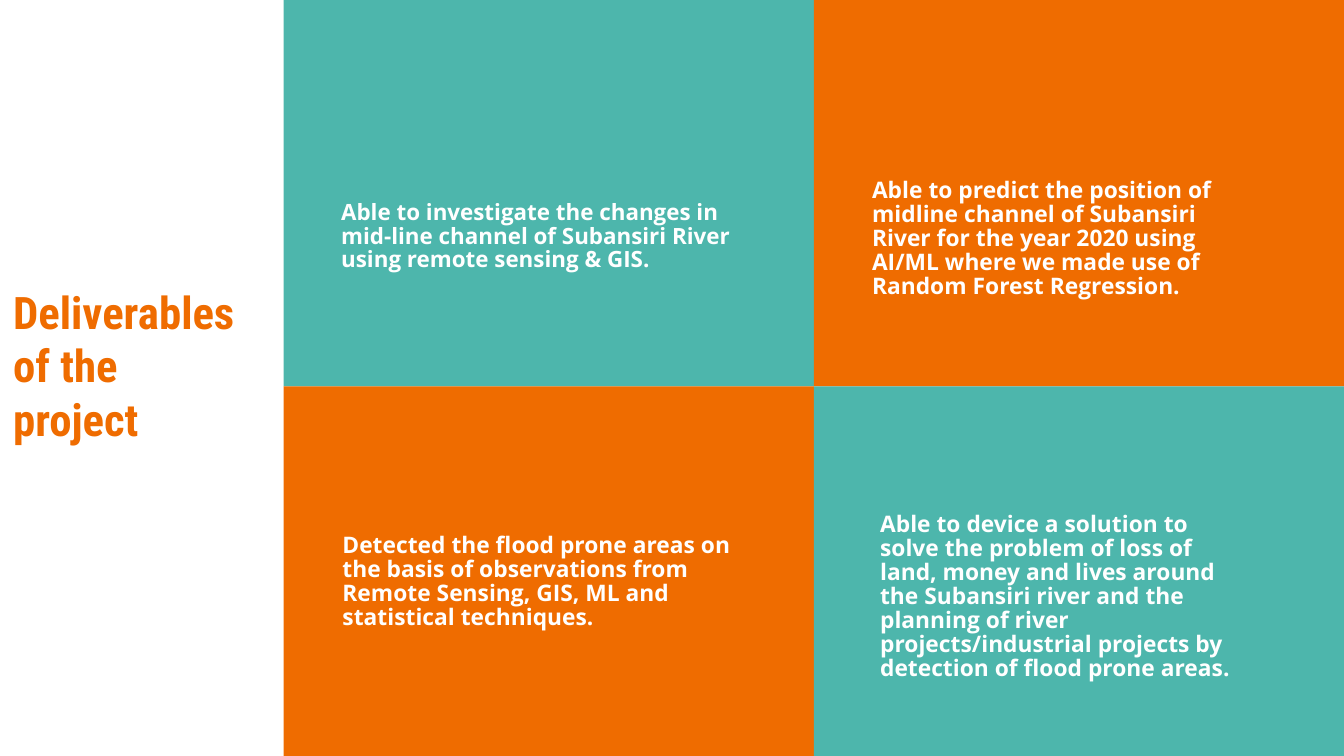
from pptx import Presentation
from pptx.dml.color import RGBColor
from pptx.enum.shapes import MSO_SHAPE
from pptx.enum.text import MSO_ANCHOR
from pptx.util import Pt

THEME = {
    "teal": RGBColor(0x4D, 0xB6, 0xAC),
    "orange": RGBColor(0xEF, 0x6C, 0x00),
    "white": RGBColor(0xFF, 0xFF, 0xFF),
    "head": ("Roboto Condensed", 24),
    "body": ("Open Sans", 12.2),
    "small": ("Open Sans", 12),
}
WIDE, HIGH = 720, 405
LEFT, SPLIT = 152, 207
INSET = 7.2

TITLE = "Deliverables of the project"
GOALS = [
    ("Able to investigate the changes in mid-line channel of Subansiri River "
     "using remote sensing & GIS.", "small", (175.7, 102.2, 231.1, 51.1)),
    ("Able to predict the position of midline channel of Subansiri River for "
     "the year 2020 using AI/ML where we made use of Random Forest Regression.",
     "body", (460.1, 116.6, 212.4, 51.1)),
    ("Detected the flood prone areas on the basis of observations from Remote "
     "Sensing, GIS, ML and statistical techniques.",
     "body", (176.4, 293.8, 226.1, 51.1)),
    ("Able to device a solution to solve the problem of loss of land, money and "
     "lives around the Subansiri river and the planning of river "
     "projects/industrial projects by detection of flood prone areas.",
     "body", (464.4, 309.6, 203, 62.6)),
]


def add_tile(slide, row, col):
    width = (WIDE - LEFT) / 2
    top, height = ((0, SPLIT), (SPLIT, HIGH - SPLIT))[row]
    tile = slide.shapes.add_shape(
        MSO_SHAPE.RECTANGLE, Pt(LEFT + col * width), Pt(top), Pt(width), Pt(height))
    tile.shadow.inherit = False
    tile.fill.solid()
    tile.fill.fore_color.rgb = THEME["teal" if row == col else "orange"]
    tile.line.fill.background()


def add_text(slide, text, place, style, color, anchor, pitch):
    frame = slide.shapes.add_textbox(*map(Pt, place)).text_frame
    frame.word_wrap = True
    frame.vertical_anchor = anchor
    frame.margin_left = frame.margin_right = Pt(INSET)
    frame.margin_top = frame.margin_bottom = Pt(INSET)
    para = frame.paragraphs[0]
    para.line_spacing = pitch
    run = para.add_run()
    run.text = text
    face, size = THEME[style]
    run.font.name = face
    run.font.size = Pt(size)
    run.font.bold = True
    run.font.color.rgb = THEME[color]


def main():
    deck = Presentation()
    deck.slide_width, deck.slide_height = Pt(WIDE), Pt(HIGH)
    slide = deck.slides.add_slide(deck.slide_layouts[6])
    add_text(slide, TITLE, (0, 0, 136, 391), "head", "orange", MSO_ANCHOR.MIDDLE, 1.0)
    for index in range(len(GOALS)):
        add_tile(slide, *divmod(index, 2))
    for text, style, place in GOALS:
        add_text(slide, text, place, style, "white", MSO_ANCHOR.BOTTOM, 0.88)
    deck.save("out.pptx")


if __name__ == "__main__":
    main()
